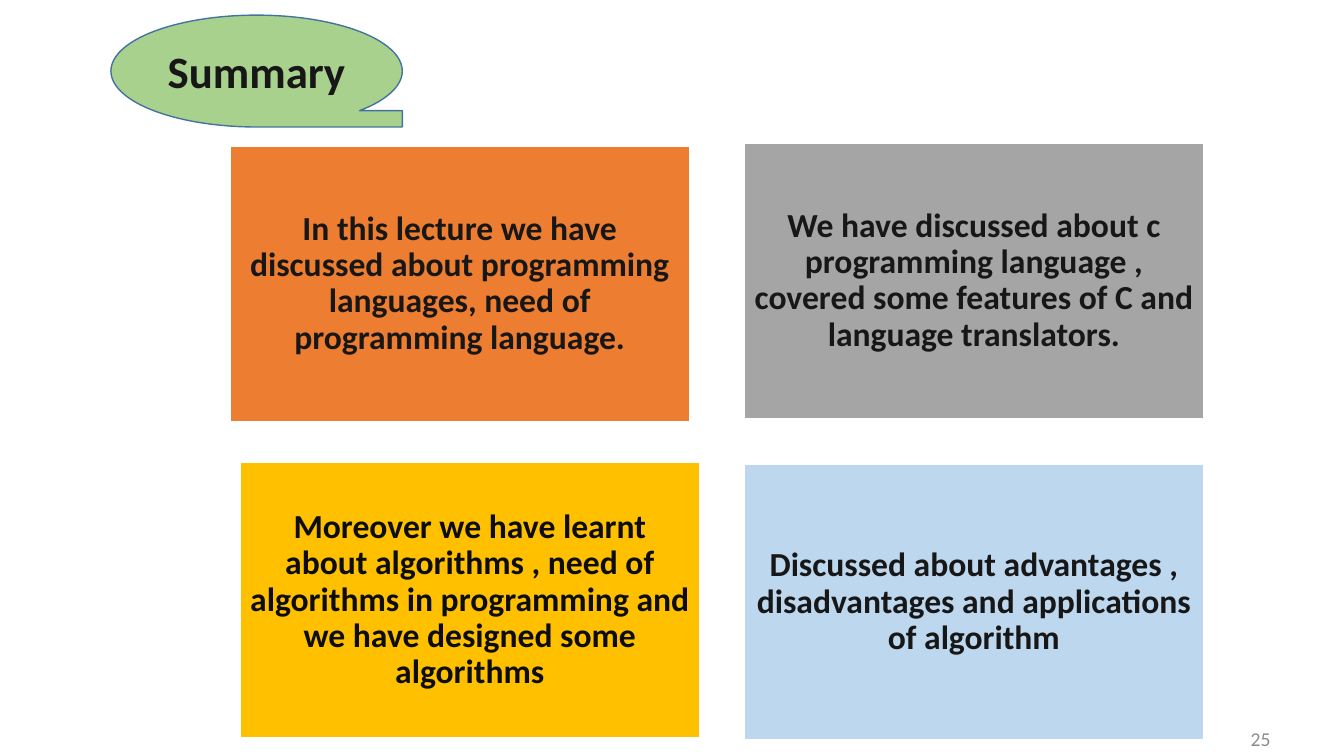
from pptx import Presentation
from pptx.dml.color import RGBColor
from pptx.enum.shapes import MSO_SHAPE
from pptx.enum.text import MSO_ANCHOR, MSO_AUTO_SIZE, PP_ALIGN
from pptx.util import Inches, Pt

WHITE = RGBColor(0xFF, 0xFF, 0xFF)
INK = RGBColor(0x18, 0x17, 0x17)
BLACK = RGBColor(0x0D, 0x0D, 0x0D)
GRAY = RGBColor(0x8C, 0x8C, 0x8C)
GREEN = RGBColor(0xA9, 0xD1, 0x8E)
BLUE = RGBColor(0x43, 0x73, 0x9E)
ORANGE = RGBColor(0xED, 0x7D, 0x31)
SILVER = RGBColor(0xA5, 0xA5, 0xA5)
GOLD = RGBColor(0xFF, 0xC0, 0x00)
SKY = RGBColor(0xBD, 0xD7, 0xEE)

CARD_WIDTH, CARD_HEIGHT = 4.56, 2.73
CARDS = [
    (2.28, 1.45, ORANGE, INK,
     "In this lecture we have discussed about programming languages, "
     "need of programming language."),
    (7.38, 1.42, SILVER, INK,
     "We have discussed about c programming language , "
     "covered some features of C and language translators."),
    (2.38, 4.59, GOLD, BLACK,
     "Moreover we have learnt about algorithms , need of algorithms "
     "in programming and we have designed some algorithms"),
    (7.38, 4.61, SKY, INK,
     "Discussed about advantages , disadvantages and applications "
     "of algorithm"),
]


def write(shape, text, size, color=INK, bold=True, align=PP_ALIGN.CENTER,
          spacing=1.0, inset=0.09):
    frame = shape.text_frame
    frame.word_wrap = True
    frame.auto_size = MSO_AUTO_SIZE.NONE
    frame.vertical_anchor = MSO_ANCHOR.MIDDLE
    frame.margin_left = frame.margin_right = Inches(inset)
    frame.margin_top = frame.margin_bottom = Inches(0)
    paragraph = frame.paragraphs[0]
    paragraph.alignment = align
    paragraph.line_spacing = spacing
    run = paragraph.add_run()
    run.text = text
    run.font.name = "Calibri"
    run.font.size = Pt(size)
    run.font.bold = bold
    run.font.color.rgb = color


def add_block(slide, kind, left, top, width, height, fill, line):
    block = slide.shapes.add_shape(
        kind, Inches(left), Inches(top), Inches(width), Inches(height))
    block.shadow.inherit = False
    block.fill.solid()
    block.fill.fore_color.rgb = fill
    block.line.color.rgb = line
    block.line.width = Pt(1)
    return block


def add_heading(slide, text):
    tape = add_block(slide, MSO_SHAPE.FLOWCHART_SEQUENTIAL_ACCESS_STORAGE,
                     1.1, 0.15, 2.89, 1.11, GREEN, BLUE)
    title = slide.shapes.title
    title.left, title.top = tape.left, tape.top
    title.width, title.height = tape.width, tape.height
    write(title, text, 32)
    tape._element.addnext(title._element)


def add_card(slide, left, top, fill, color, text):
    card = add_block(slide, MSO_SHAPE.RECTANGLE, left, top,
                     CARD_WIDTH, CARD_HEIGHT, fill, WHITE)
    write(card, text, 24, color=color, spacing=0.9)


def add_page_number(slide, number):
    page = slide.shapes.add_textbox(
        Inches(10.46), Inches(7.17), Inches(2.24), Inches(0.31))
    write(page, number, 14, color=GRAY, bold=False,
          align=PP_ALIGN.RIGHT, inset=0.1)


def main():
    deck = Presentation()
    deck.slide_width, deck.slide_height = Inches(13.33), Inches(7.5)
    slide = deck.slides.add_slide(deck.slide_layouts[5])
    add_page_number(slide, "25")
    add_heading(slide, "Summary")
    for card in CARDS:
        add_card(slide, *card)
    deck.save("out.pptx")


if __name__ == "__main__":
    main()
